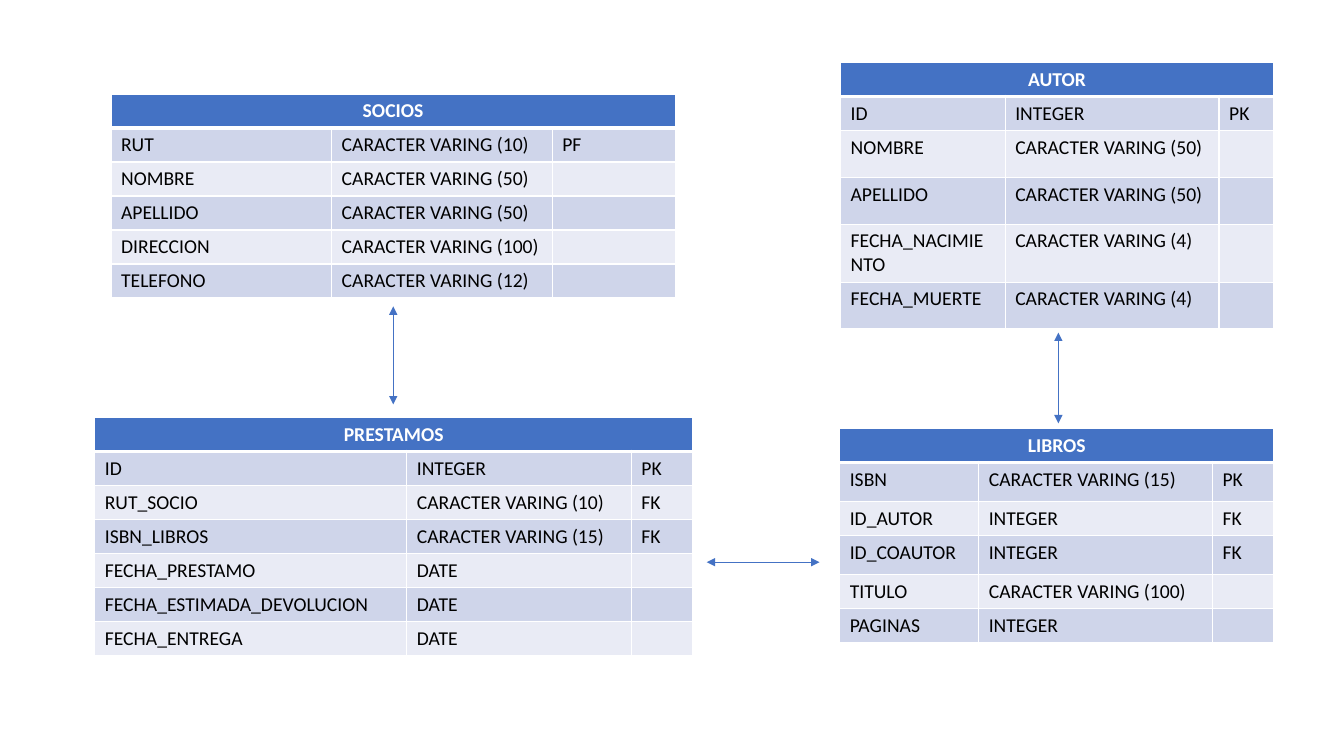
from lxml.etree import SubElement
from pptx import Presentation
from pptx.dml.color import RGBColor
from pptx.enum.shapes import MSO_CONNECTOR
from pptx.enum.text import PP_ALIGN
from pptx.oxml.ns import qn
from pptx.util import Pt

COLORS = {"header": "4472C4", "odd": "CFD5EA", "even": "E9EBF5",
          "border": "FFFFFF", "title": "FFFFFF", "text": "000000", "arrow": "4472C4"}
ROW = 24.25
TALL = 28
FONT_SIZE = 14


def color(name):
    return RGBColor.from_string(COLORS[name])


def set_borders(cell, row_index):
    props = cell._tc.get_or_add_tcPr()
    widths = {"lnL": 1, "lnR": 1, "lnT": 3 if row_index == 1 else 1,
              "lnB": 3 if row_index == 0 else 1}
    for tag, width in widths.items():
        line = SubElement(props, qn(f"a:{tag}"), w=str(Pt(width)))
        fill = SubElement(line, qn("a:solidFill"))
        SubElement(fill, qn("a:srgbClr"), val=COLORS["border"])


def style_cell(cell, row_index):
    set_borders(cell, row_index)
    cell.fill.solid()
    band = "odd" if row_index % 2 else "even"
    cell.fill.fore_color.rgb = color(band if row_index else "header")


def write_cell(cell, text, header=False):
    para = cell.text_frame.paragraphs[0]
    if not text:
        SubElement(para._p, qn("a:endParaRPr"), sz=str(FONT_SIZE * 100))
        return
    if header:
        para.alignment = PP_ALIGN.CENTER
    span = para.add_run()
    span.text = text
    for name, value in {"name": "Calibri", "size": Pt(FONT_SIZE), "bold": header}.items():
        setattr(span.font, name, value)
    span.font.color.rgb = color("title" if header else "text")


def add_entity(page, box, title, fields, widths, heights):
    left, top = box
    frame = page.shapes.add_table(len(fields) + 1, len(widths), Pt(left), Pt(top),
                                  Pt(sum(widths)), Pt(sum(heights)))
    table = frame.table
    for column, width in zip(table.columns, widths):
        column.width = Pt(width)
    for row_index, (row, height) in enumerate(zip(table.rows, heights)):
        row.height = Pt(height)
        for cell in row.cells:
            style_cell(cell, row_index)
    table.cell(0, 0).merge(table.cell(0, len(widths) - 1))
    write_cell(table.cell(0, 0), title, header=True)
    for row_index, field in enumerate(fields, 1):
        for column_index, text in enumerate(field):
            write_cell(table.cell(row_index, column_index), text)


def add_relation(page, start, end):
    arrow = page.shapes.add_connector(MSO_CONNECTOR.STRAIGHT, *map(Pt, start + end))
    arrow.line.width = Pt(0.5)
    arrow.line.color.rgb = color("arrow")
    line = arrow.line._get_or_add_ln()
    for tag in ("headEnd", "tailEnd"):
        SubElement(line, qn(f"a:{tag}"), type="triangle")
    SubElement(arrow._element.spPr, qn("a:effectLst"))


def varying(length):
    return f"CARACTER VARING ({length})"


ENTITIES = [
    ((79.3, 67.2), "SOCIOS", [
        ("RUT", varying(10), "PF"),
        ("NOMBRE", varying(50), ""),
        ("APELLIDO", varying(50), ""),
        ("DIRECCION", varying(100), ""),
        ("TELEFONO", varying(12), ""),
    ], (157.6, 157.6, 87.8), [ROW] * 6),
    ((67.7, 298.2), "PRESTAMOS", [
        ("ID", "INTEGER", "PK"),
        ("RUT_SOCIO", varying(10), "FK"),
        ("ISBN_LIBROS", varying(15), "FK"),
        ("FECHA_PRESTAMO", "DATE", ""),
        ("FECHA_ESTIMADA_DEVOLUCION", "DATE", ""),
        ("FECHA_ENTREGA", "DATE", ""),
    ], (222.9, 160.4, 43.8), [ROW] * 7),
    ((599.8, 306.1), "LIBROS", [
        ("ISBN", varying(15), "PK"),
        ("ID_AUTOR", "INTEGER", "FK"),
        ("ID_COAUTOR", "INTEGER", "FK"),
        ("TITULO", varying(100), ""),
        ("PAGINAS", "INTEGER", ""),
    ], (99.3, 167, 43.8), [ROW, TALL, ROW, TALL, ROW, ROW]),
    ((600.4, 44.7), "AUTOR", [
        ("ID", "INTEGER", "PK"),
        ("NOMBRE", varying(50), ""),
        ("APELLIDO", varying(50), ""),
        ("FECHA_NACIMIENTO", varying(4), ""),
        ("FECHA_MUERTE", varying(4), ""),
    ], (117.6, 152.8, 38.9), [ROW, ROW, 33.8, 33.2, 41.3, 33.2]),
]
RELATIONS = [((280.9, 218.9), (280.9, 288.9)),
             ((504.8, 401.6), (585.4, 401.6)),
             ((756, 237.6), (756, 302.4))]

deck = Presentation()
deck.slide_width, deck.slide_height = Pt(960), Pt(540)
page = deck.slides.add_slide(deck.slide_layouts[6])
for entity in ENTITIES:
    add_entity(page, *entity)
for relation in RELATIONS:
    add_relation(page, *relation)
deck.save("out.pptx")
